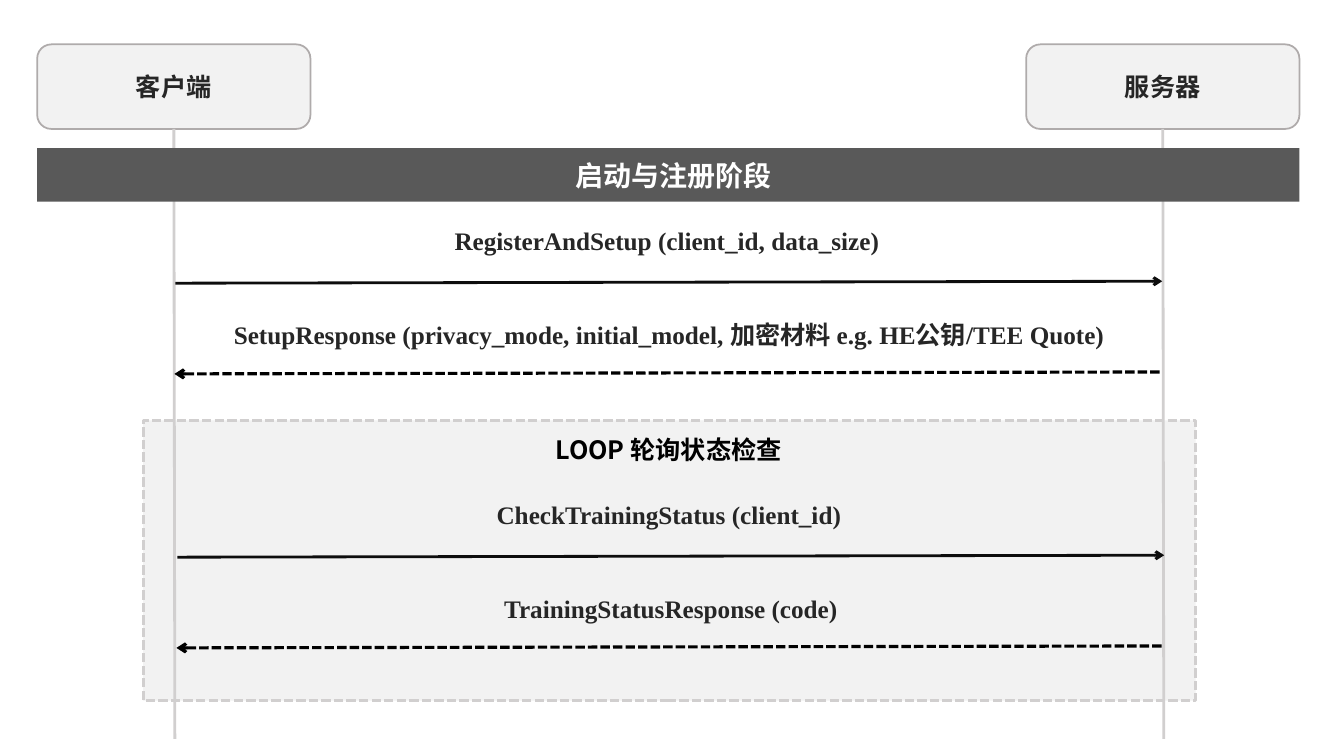
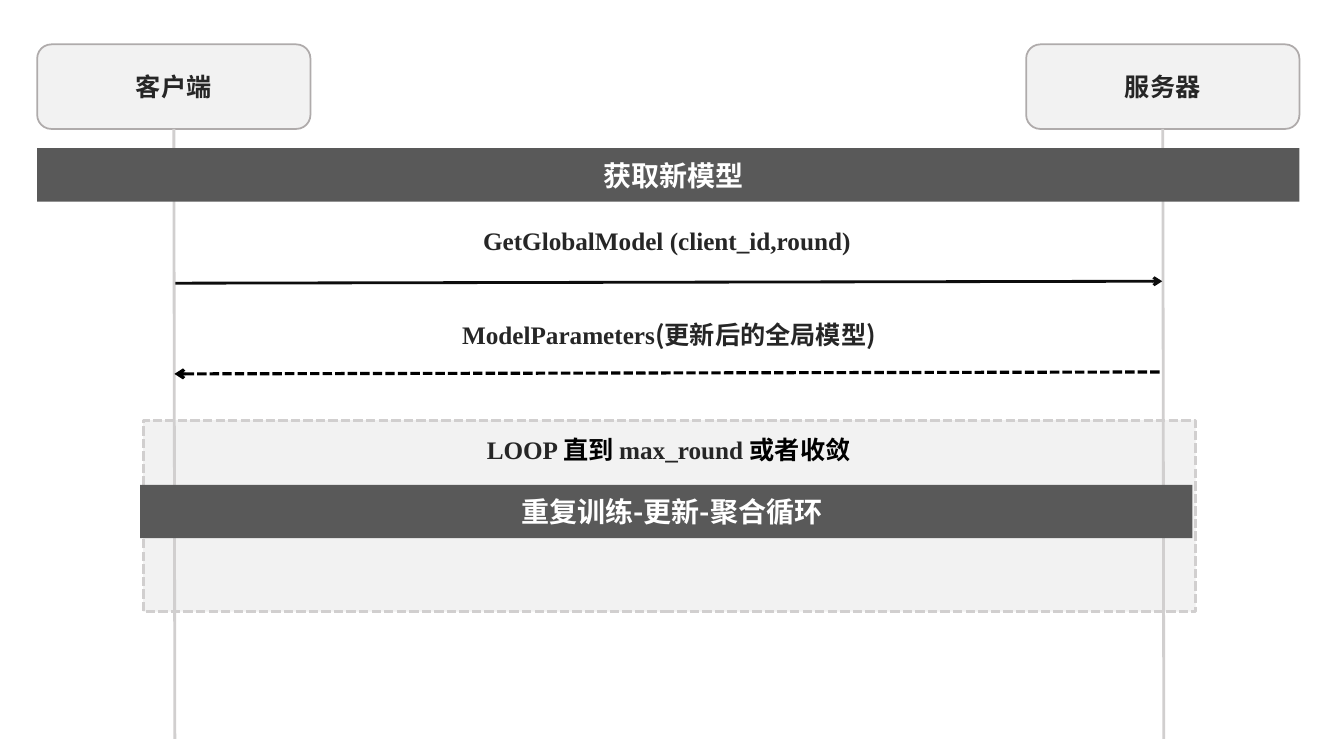
from dataclasses import dataclass
from typing import Optional

from lxml.etree import SubElement
from pptx import Presentation
from pptx.dml.color import RGBColor
from pptx.enum.dml import MSO_LINE
from pptx.enum.shapes import MSO_CONNECTOR, MSO_SHAPE
from pptx.enum.text import MSO_ANCHOR, PP_ALIGN
from pptx.oxml.ns import qn
from pptx.shapes.autoshape import Shape
from pptx.shapes.connector import Connector
from pptx.slide import Slide
from pptx.text.text import Font, TextFrame
from pptx.util import Pt

COLORS = {
    "panel": "F2F2F2",
    "guide": "D1CFCF",
    "border": "AFABAB",
    "band": "595959",
    "white": "FFFFFF",
    "text": "262626",
    "request": "0D0D0D",
    "black": "000000",
}
CJK = "Noto Sans CJK SC"
SERIF = "Times New Roman"

BOX_LEFTS = (26.6, 733)
BOX_TOP, BOX_WIDTH, BOX_HEIGHT = 31.7, 195.2, 60.4
LIFELINE_END, LIFELINE_DRIFT = 527.8, 0.7
BAND_HEIGHT = 38.2
LOOP_LEFT, LOOP_TOP, LOOP_WIDTH = 102.3, 300.2, 751.7
LABEL_WIDTH, LABEL_HEIGHT = 703.6, 28.8
ARROW_RISE = 1.4
EXCHANGE_LEFT, EXCHANGE_TOP = 124.6, 157.7
LOOP_SHIFT = (1.4, 195.7)


@dataclass(frozen=True)
class Span:
    text: str
    font: str = SERIF
    color: str = "text"


@dataclass(frozen=True)
class Exchange:
    request: tuple[Span, ...]
    response: tuple[Span, ...]


@dataclass(frozen=True)
class Band:
    title: str
    left: float
    top: float
    width: float


@dataclass(frozen=True)
class Phase:
    title: str
    exchange: Exchange
    loop_title: tuple[Span, ...]
    loop_height: float
    loop_exchange: Optional[Exchange] = None
    loop_band: Optional[Band] = None


PARTICIPANTS = ("客户端", "服务器")
PHASES = (
    Phase(
        "启动与注册阶段",
        Exchange(
            (Span("RegisterAndSetup (client_id, data_size)"),),
            (Span("SetupResponse (privacy_mode, initial_model, 加密材料 e.g. HE公钥/TEE Quote)"),),
        ),
        (Span("LOOP 轮询状态检查", CJK, "black"),),
        200.2,
        loop_exchange=Exchange(
            (Span("CheckTrainingStatus (client_id)"),),
            (Span("TrainingStatusResponse (code)"),),
        ),
    ),
    Phase(
        "获取新模型",
        Exchange(
            (Span("GetGlobalModel (client_id,round)"),),
            (Span("ModelParameters"), Span("(更新后的全局模型)", CJK)),
        ),
        (
            Span("LOOP "),
            Span("直到 ", CJK, "black"),
            Span("max_round "),
            Span("或者收敛", CJK, "black"),
        ),
        136.8,
        loop_band=Band("重复训练-更新-聚合循环", 100.1, 346.3, LOOP_WIDTH),
    ),
)


def rgb(name: str) -> RGBColor:
    return RGBColor.from_string(COLORS[name])


def style_font(font: Font, span: Span, size: float) -> None:
    font.size = Pt(size)
    font.bold = True
    font.color.rgb = rgb(span.color)
    font.name = span.font
    SubElement(font._element, qn("a:ea")).set("typeface", CJK)


def write(frame: TextFrame, spans: tuple[Span, ...], size: float = 18) -> None:
    frame.word_wrap = True
    para = frame.paragraphs[0]
    para.alignment = PP_ALIGN.CENTER
    uniform = len(spans) == 1
    if uniform:
        style_font(para.font, spans[0], size)
    for span in spans:
        run = para.add_run()
        run.text = span.text
        if not uniform:
            style_font(run.font, span, size)


def add_panel(page: Slide, kind: MSO_SHAPE, left: float, top: float, width: float,
              height: float, fill: str, border: Optional[str] = None,
              weight: float = 1.25) -> Shape:
    panel = page.shapes.add_shape(kind, Pt(left), Pt(top), Pt(width), Pt(height))
    panel.shadow.inherit = False
    panel.fill.solid()
    panel.fill.fore_color.rgb = rgb(fill)
    if border:
        panel.line.color.rgb = rgb(border)
        panel.line.width = Pt(weight)
    else:
        panel.line.fill.background()
    return panel


def add_line(page: Slide, start: tuple[float, float], end: tuple[float, float],
             color: str, weight: float = 2, arrow_end: Optional[str] = None,
             dashed: bool = False) -> Connector:
    line = page.shapes.add_connector(
        MSO_CONNECTOR.STRAIGHT, *(Pt(value) for value in (*start, *end)))
    line.line.color.rgb = rgb(color)
    line.line.width = Pt(weight)
    if dashed:
        line.line.dash_style = MSO_LINE.SQUARE_DOT
    properties = line._element.spPr
    if arrow_end:
        SubElement(properties.find(qn("a:ln")), qn(f"a:{arrow_end}")).set("type", "arrow")
    SubElement(properties, qn("a:effectLst"))
    return line


def add_label(page: Slide, spans: tuple[Span, ...], left: float, top: float) -> None:
    box = page.shapes.add_textbox(Pt(left), Pt(top), Pt(LABEL_WIDTH), Pt(LABEL_HEIGHT))
    write(box.text_frame, spans)


def add_band(page: Slide, band: Band) -> None:
    shape = add_panel(page, MSO_SHAPE.RECTANGLE, band.left, band.top, band.width,
                      BAND_HEIGHT, "band")
    frame = shape.text_frame
    frame.margin_left, frame.margin_right = Pt(8), Pt(0)
    frame.vertical_anchor = MSO_ANCHOR.MIDDLE
    write(frame, (Span(band.title, CJK, "white"),), 20)


def add_participant(page: Slide, name: str, left: float) -> None:
    box = add_panel(page, MSO_SHAPE.ROUNDED_RECTANGLE, left, BOX_TOP, BOX_WIDTH,
                    BOX_HEIGHT, "panel", "border")
    box.text_frame.vertical_anchor = MSO_ANCHOR.MIDDLE
    write(box.text_frame, (Span(name, CJK),))
    middle = left + BOX_WIDTH / 2
    lifeline = add_line(page, (middle, BOX_TOP + BOX_HEIGHT),
                        (middle + LIFELINE_DRIFT, LIFELINE_END), "guide")
    lifeline.begin_connect(box, 2)


def add_exchange(page: Slide, exchange: Exchange, left: float, top: float) -> None:
    request_y, response_y = top + 44.6, top + 109.4
    add_line(page, (left + 0.7, request_y), (left + 705.6, request_y - ARROW_RISE),
             "request", arrow_end="tailEnd")
    add_label(page, exchange.request, left, top)
    add_line(page, (left, response_y), (left + 704.2, response_y - ARROW_RISE),
             "black", 2.25, "headEnd", True)
    add_label(page, exchange.response, left + 1.4, top + 66.7)


def add_phase(page: Slide, phase: Phase) -> None:
    loop = add_panel(page, MSO_SHAPE.RECTANGLE, LOOP_LEFT, LOOP_TOP, LOOP_WIDTH,
                     phase.loop_height, "panel", "guide", 2.25)
    loop.line.dash_style = MSO_LINE.SQUARE_DOT
    for name, left in zip(PARTICIPANTS, BOX_LEFTS):
        add_participant(page, name, left)
    full_width = BOX_LEFTS[1] + BOX_WIDTH - BOX_LEFTS[0]
    add_band(page, Band(phase.title, BOX_LEFTS[0], 105.9, full_width))
    add_exchange(page, phase.exchange, EXCHANGE_LEFT, EXCHANGE_TOP)
    add_label(page, phase.loop_title, 125.8, 306.7)
    if phase.loop_exchange:
        add_exchange(page, phase.loop_exchange, EXCHANGE_LEFT + LOOP_SHIFT[0],
                     EXCHANGE_TOP + LOOP_SHIFT[1])
    if phase.loop_band:
        add_band(page, phase.loop_band)


def main() -> None:
    deck = Presentation()
    deck.slide_width, deck.slide_height = Pt(960), Pt(540)
    for phase in PHASES:
        add_phase(deck.slides.add_slide(deck.slide_layouts[6]), phase)
    deck.save("out.pptx")


if __name__ == "__main__":
    main()
